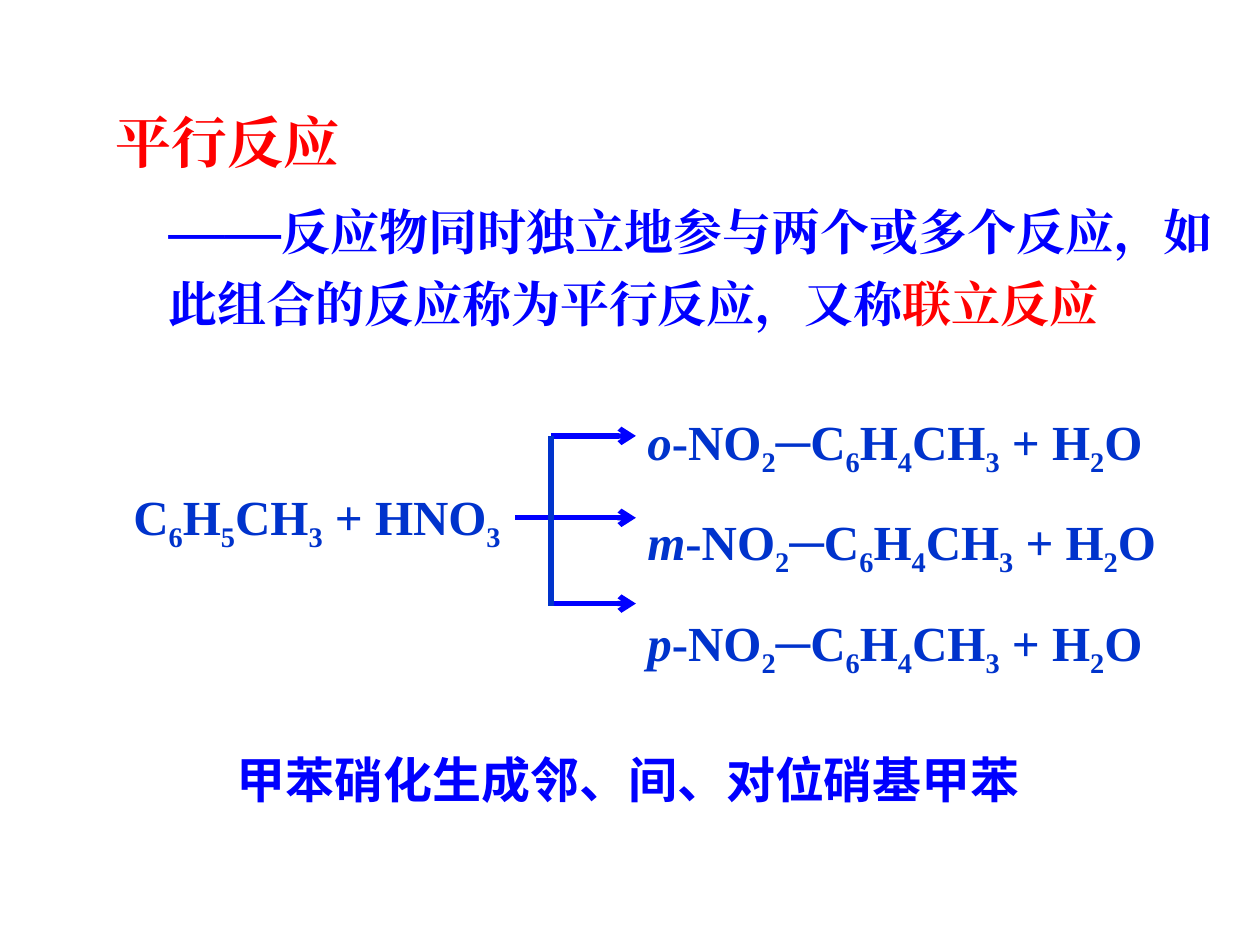
from dataclasses import dataclass

from pptx import Presentation
from pptx.dml.color import RGBColor
from pptx.enum.shapes import MSO_CONNECTOR
from pptx.enum.text import MSO_ANCHOR, MSO_AUTO_SIZE, PP_ALIGN
from pptx.oxml.ns import qn
from pptx.util import Pt
from lxml.etree import SubElement

COLORS = {"red": "FF0000", "blue": "0000FF", "formula": "0033CC"}
SERIF = "Times New Roman"
SANS = "Noto Sans CJK SC"


@dataclass(frozen=True)
class Span:
    text: str
    color: str | None = None
    size: float | None = None
    italic: bool = False
    subscript: bool = False


@dataclass(frozen=True)
class TextBlock:
    left: float
    top: float
    width: float
    height: float
    paragraphs: list[list[Span]]
    color: str
    size: float = 28
    face: str = SERIF
    spacing: float = 1.0
    align: PP_ALIGN = PP_ALIGN.LEFT
    anchor: MSO_ANCHOR = MSO_ANCHOR.TOP
    wrap: bool = True


@dataclass(frozen=True)
class Line:
    x1: float
    y1: float
    x2: float
    y2: float
    color: str = "blue"
    arrow: bool = True


def rgb(name: str) -> RGBColor:
    return RGBColor.from_string(COLORS[name])


def formula(text: str) -> list[Span]:
    return [Span(char, subscript=char.isdigit()) for char in split_digits(text)]


def split_digits(text: str) -> list[str]:
    parts = [""]
    for char in text:
        if char.isdigit():
            parts += [char, ""]
        else:
            parts[-1] += char
    return [part for part in parts if part]


def product(prefix: str) -> list[Span]:
    return [Span(prefix, italic=True), *formula("-NO2─C6H4CH3 + H2O")]


def draw_text(page, block: TextBlock) -> None:
    box = page.shapes.add_textbox(
        Pt(block.left), Pt(block.top), Pt(block.width), Pt(block.height)
    )
    frame = box.text_frame
    frame.word_wrap = block.wrap
    frame.auto_size = MSO_AUTO_SIZE.SHAPE_TO_FIT_TEXT
    frame.vertical_anchor = block.anchor
    for index, spans in enumerate(block.paragraphs):
        para = frame.add_paragraph() if index else frame.paragraphs[0]
        para.alignment = block.align
        para.line_spacing = block.spacing
        para.font.name = block.face
        para.font.bold = True
        para.font.size = Pt(block.size)
        para.font.color.rgb = rgb(block.color)
        for item in spans:
            draw_span(para, item, block.face)


def draw_span(para, item: Span, face: str) -> None:
    span = para.add_run()
    span.text = item.text
    if item.size:
        span.font.size = Pt(item.size)
    if item.color:
        span.font.color.rgb = rgb(item.color)
    if item.italic:
        span.font.italic = True
    properties = span._r.get_or_add_rPr()
    if item.subscript:
        properties.set("baseline", "-25000")
    SubElement(properties, qn("a:ea")).set("typeface", face)


def draw_line(page, line: Line) -> None:
    connector = page.shapes.add_connector(
        MSO_CONNECTOR.STRAIGHT, Pt(line.x1), Pt(line.y1), Pt(line.x2), Pt(line.y2)
    )
    connector.line.color.rgb = rgb(line.color)
    connector.line.width = Pt(3)
    if line.arrow:
        SubElement(connector.line._get_or_add_ln(), qn("a:tailEnd")).set("type", "arrow")
    SubElement(connector._element.spPr, qn("a:effectLst"))


def main() -> None:
    deck = Presentation()
    deck.slide_width, deck.slide_height = Pt(720), Pt(540)
    page = deck.slides.add_slide(deck.slide_layouts[6])

    definition = [
        Span("——", size=32),
        Span("反应物同时独立地参与两个或多个反应，如此组合的反应称为平行反应，又称"),
        Span("联立反应", color="red"),
    ]
    justified = {"align": PP_ALIGN.JUSTIFY, "anchor": MSO_ANCHOR.MIDDLE}
    blocks = [
        TextBlock(59, 50.4, 151.2, 53.3, [[Span("平行反应")]], "red", 32,
                  spacing=1.2, **justified),
        TextBlock(89.3, 100.1, 611.3, 93.6, [definition], "blue",
                  spacing=1.2, **justified),
        TextBlock(128.2, 424.8, 466.6, 41, [[Span("甲苯硝化生成邻、间、对位硝基甲苯")]],
                  "blue", face=SANS, wrap=False, **justified),
        TextBlock(69.1, 274.3, 239, 41, [formula("C6H5CH3 + HNO3")], "formula"),
        TextBlock(362.9, 212.4, 319, 159.8, [product(prefix) for prefix in "omp"],
                  "formula", spacing=1.5),
    ]
    for block in blocks:
        draw_text(page, block)

    fork, tip, top, middle, bottom = 314.8, 363.4, 249.1, 295.9, 344.9
    lines = [
        Line(294.5, middle, tip, middle),
        Line(fork, bottom, tip, bottom),
        Line(fork, top, tip, top),
        Line(fork, top, fork, bottom + 1.4, "formula", arrow=False),
    ]
    for line in lines:
        draw_line(page, line)

    deck.save("out.pptx")


if __name__ == "__main__":
    main()
